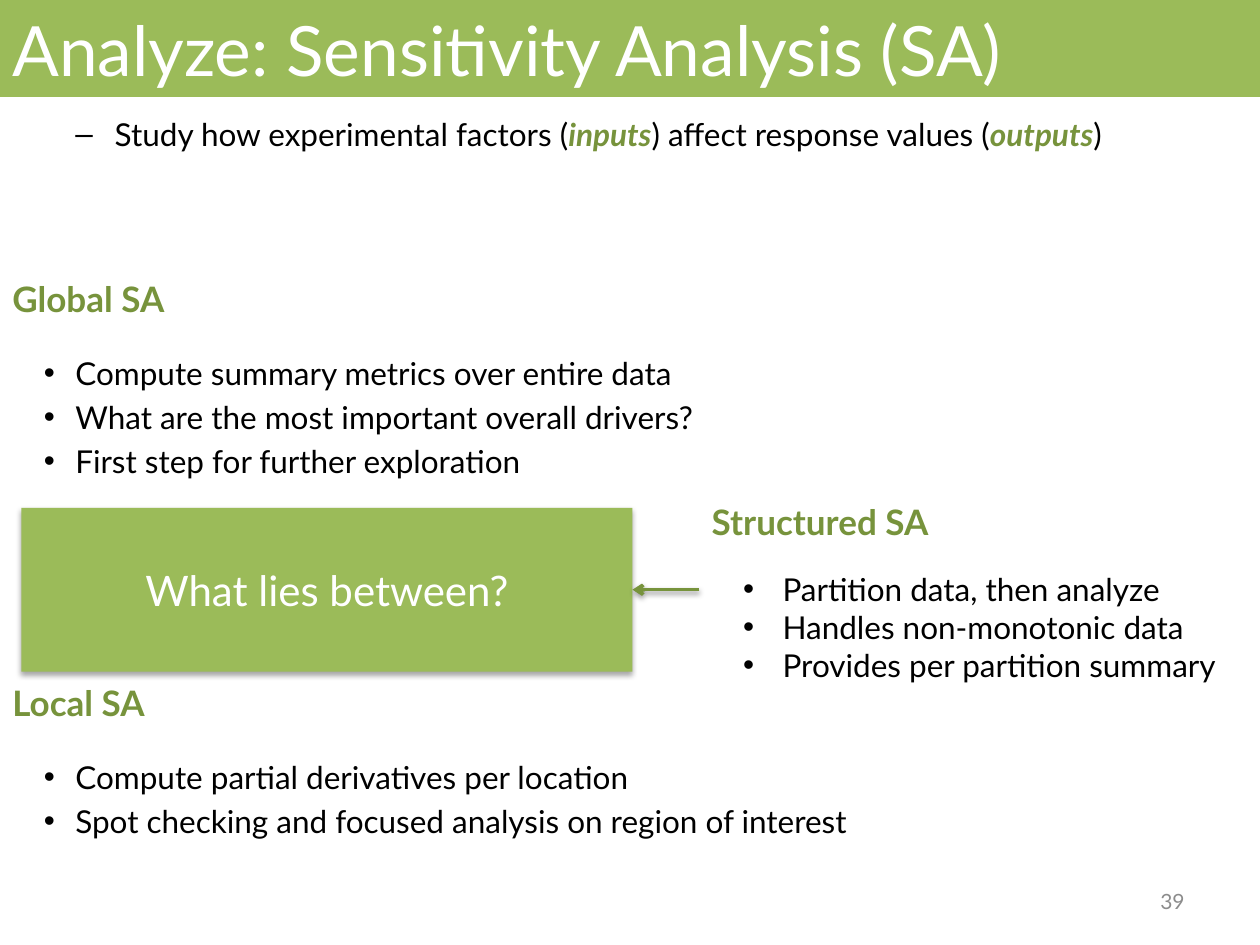
from lxml import etree
from pptx import Presentation
from pptx.dml.color import RGBColor
from pptx.enum import shapes, text
from pptx.oxml import ns
from pptx.util import Pt

LIGHT_GREEN, DARK_GREEN = "9BBB59", "77933C"
WHITE, BLACK, GRAY = "FFFFFF", "000000", "8C8C8C"


def color(hex_value):
    return RGBColor.from_string(hex_value)


def add_element(parent, tag, **attributes):
    values = {name: str(value) for name, value in attributes.items()}
    return etree.SubElement(parent, ns.qn(tag), values)


def add_shadow(shape, opacity, distance):
    """Give a shape a soft black shadow that falls straight down."""
    effects = add_element(shape._element.spPr, "a:effectLst")
    outer = add_element(effects, "a:outerShdw", blurRad=Pt(3.1), dist=Pt(distance),
                        dir=90 * 60000, rotWithShape=0)
    black = add_element(outer, "a:srgbClr", val=BLACK)
    add_element(black, "a:alpha", val=opacity * 1000)


class SlideBuilder:
    font = "Lato"
    heading = {"size": Pt(20), "bold": True, "color": DARK_GREEN}
    body = {"size": Pt(18), "color": BLACK}
    emphasis = {"size": Pt(18), "bold": True, "italic": True, "color": DARK_GREEN}
    spaced = {"line_spacing": 1.15, "space_after": Pt(16)}

    def __init__(self, slide):
        self.slide = slide

    def fill_paragraph(self, paragraph, runs, spacing=None, bullet=None):
        """Fill a paragraph; bullet is (character, left margin, hanging width)."""
        for name, value in (spacing or {}).items():
            setattr(paragraph, name, value)
        if bullet:
            character, margin, hanging = bullet
            properties = paragraph._p.get_or_add_pPr()
            properties.set("marL", str(Pt(margin)))
            properties.set("indent", str(-Pt(hanging)))
            add_element(properties, "a:buFont", typeface="Arial")
            add_element(properties, "a:buChar", char=character)
        for content, style in runs:
            run = paragraph.add_run()
            run.text = content
            for name, value in {"name": self.font, **style}.items():
                if name == "color":
                    run.font.color.rgb = color(value)
                else:
                    setattr(run.font, name, value)

    def text_box(self, left, top, width, height, anchor=text.MSO_ANCHOR.TOP):
        box = self.slide.shapes.add_textbox(Pt(left), Pt(top), Pt(width), Pt(height))
        frame = box.text_frame
        frame.word_wrap = True
        frame.vertical_anchor = anchor
        return frame

    def section(self, bounds, title, items, bullet, item_spacing=None):
        """Add a green heading with a bullet list below it."""
        frame = self.text_box(*bounds)
        self.fill_paragraph(frame.paragraphs[0], [(title, self.heading)], self.spaced)
        for item in items:
            self.fill_paragraph(frame.add_paragraph(), [(item, self.body)],
                                item_spacing, bullet)

    def panel(self, left, top, width, height, label, size, alignment):
        shape = self.slide.shapes.add_shape(
            shapes.MSO_SHAPE.RECTANGLE, Pt(left), Pt(top), Pt(width), Pt(height))
        shape.fill.solid()
        shape.fill.fore_color.rgb = color(LIGHT_GREEN)
        shape.line.fill.background()
        frame = shape.text_frame
        frame.word_wrap = True
        frame.vertical_anchor = text.MSO_ANCHOR.MIDDLE
        self.fill_paragraph(frame.paragraphs[0],
                            [(label, {"size": Pt(size), "color": WHITE})],
                            {"alignment": alignment})
        return shape

    def arrow(self, start_x, end_x, y):
        line = self.slide.shapes.add_connector(
            shapes.MSO_CONNECTOR.STRAIGHT, Pt(start_x), Pt(y), Pt(end_x), Pt(y))
        line.line.color.rgb = color(DARK_GREEN)
        line.line.width = Pt(2)
        add_element(line.line._get_or_add_ln(), "a:tailEnd", type="arrow")
        return line


def main():
    presentation = Presentation()
    presentation.slide_width, presentation.slide_height = Pt(720), Pt(540)
    slide = presentation.slides.add_slide(presentation.slide_layouts[6])
    builder = SlideBuilder(slide)

    title = builder.panel(0, 0, 720, 55.4, "Analyze: Sensitivity Analysis (SA)", 39.6,
                          text.PP_ALIGN.LEFT)
    title.shadow.inherit = False

    lead = builder.text_box(0, 59, 720, 36)
    builder.fill_paragraph(lead.paragraphs[0], [
        ("Study how experimental factors (", builder.body),
        ("inputs", builder.emphasis),
        (") affect response values (", builder.body),
        ("outputs", builder.emphasis),
        (")", builder.body),
    ], {"line_spacing": 1.15}, ("–", 58.5, 22.5))

    wide_bullet = ("•", 36, 18)
    loose = {"space_before": Pt(3.6)}
    builder.section((0, 151.4, 720, 130), "Global SA", [
        "Compute summary metrics over entire data",
        "What are the most important overall drivers?",
        "First step for further exploration",
    ], wide_bullet, loose)
    builder.section((0, 382.4, 720, 105), "Local SA", [
        "Compute partial derivatives per location",
        "Spot checking and focused analysis on region of interest",
    ], wide_bullet, loose)

    question = builder.panel(12.2, 290.2, 349.2, 93.6, "What lies between?", 24,
                             text.PP_ALIGN.CENTER)
    add_shadow(question, 35, 1.8)

    builder.section((399.6, 278.6, 322.6, 116.6), "Structured SA", [
        "Partition data, then analyze",
        "Handles non-monotonic data",
        "Provides per partition summary",
    ], ("•", 40.5, 22.5))
    add_shadow(builder.arrow(399.6, 361.4, 337), 38, 1.6)

    number = builder.text_box(516, 500.5, 168, 28.8, text.MSO_ANCHOR.MIDDLE)
    builder.fill_paragraph(number.paragraphs[0],
                           [("39", {"size": Pt(12), "color": GRAY})],
                           {"alignment": text.PP_ALIGN.RIGHT})

    presentation.save("out.pptx")


if __name__ == "__main__":
    main()
